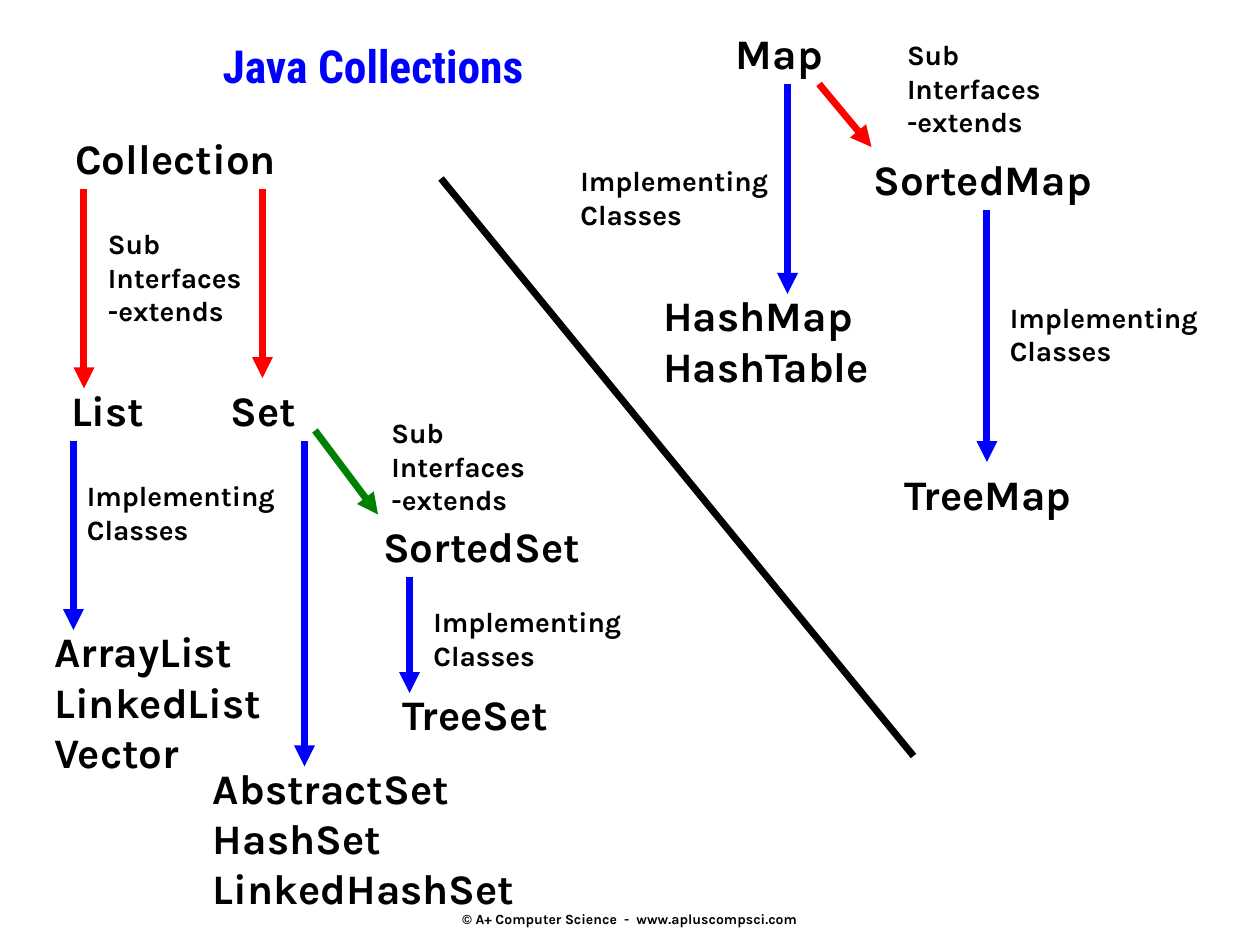
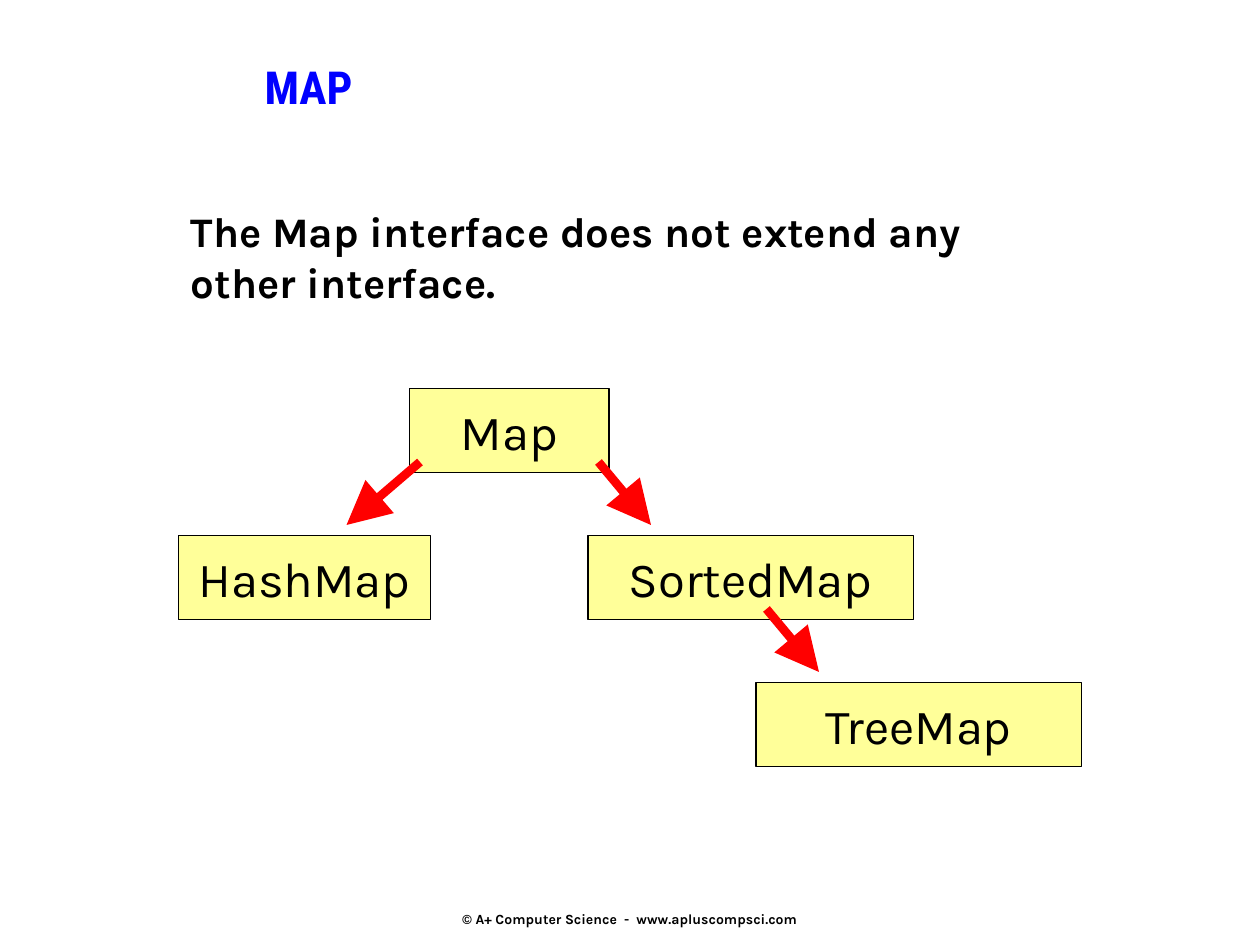
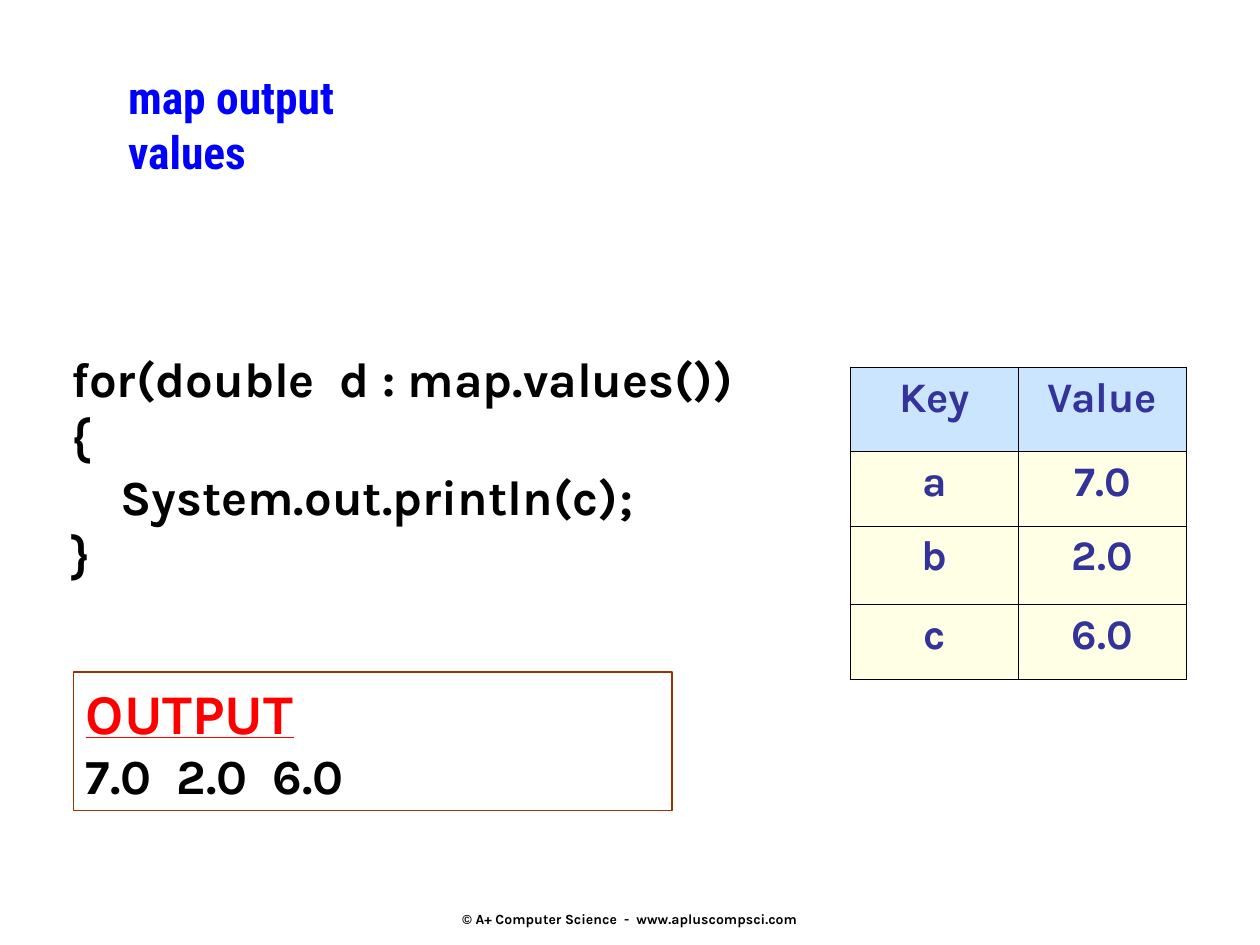
from dataclasses import dataclass

from lxml.etree import SubElement
from pptx import Presentation
from pptx.dml.color import RGBColor
from pptx.enum.shapes import MSO_CONNECTOR as Connector, MSO_SHAPE as Shape
from pptx.enum.text import MSO_ANCHOR as Anchor, MSO_AUTO_SIZE as AutoSize, PP_ALIGN as Align
from pptx.oxml import parse_xml
from pptx.oxml.ns import nsdecls, qn
from pptx.util import Inches, Pt

COLOURS = {
    "black": "000000", "blue": "0000FF", "red": "FF0000", "green": "008000",
    "yellow": "FFFF99", "brown": "993300", "indigo": "333399",
    "sky": "99CCFF", "cream": "FFFFCC",
}
BODY_FONT, TITLE_FONT = "Karla", "Roboto Condensed"
COLUMNS, ROWS = 120, 90
SLIDE_WIDTH, SLIDE_HEIGHT = Inches(10), Inches(7.5)
FOOTER = "© A+ Computer Science  -  www.apluscompsci.com"
EXTENDS = "Sub\nInterfaces\n-extends"
IMPLEMENTS = "Implementing\nClasses"


@dataclass(frozen=True)
class Label:
    text: str
    column: float
    row: float
    width: float
    size: int = 24
    wrap: bool = False


@dataclass(frozen=True)
class Arrow:
    start: tuple[float, float]
    end: tuple[float, float]
    colour: str = "red"
    weight: float = 4
    head: str | None = "med"


@dataclass(frozen=True)
class Node:
    text: str
    column: float
    row: float
    width: float


def across(columns: float) -> int:
    return round(SLIDE_WIDTH * columns / COLUMNS)


def down(rows: float) -> int:
    return round(SLIDE_HEIGHT * rows / ROWS)


def area(column: float, row: float, width: float, height: float) -> tuple[int, ...]:
    return across(column), down(row), across(width), down(height)


def rgb(name: str) -> RGBColor:
    return RGBColor.from_string(COLOURS[name])


def style(para, size: float, colour: str = "black", bold: bool = True,
          name: str = BODY_FONT, align=Align.LEFT) -> None:
    para.alignment = align
    font = para.font
    font.name, font.size, font.bold = name, Pt(size), bold
    font.color.rgb = rgb(colour)


def write(frame, text: str, size: float, wrap: bool = False,
          anchor=Anchor.TOP, **look) -> None:
    frame.text = text
    frame.word_wrap = wrap
    frame.auto_size = AutoSize.NONE
    frame.vertical_anchor = anchor
    for para in frame.paragraphs:
        style(para, size, **look)


def add_page(deck, title: str, place: tuple[float, ...]):
    page = deck.slides.add_slide(deck.slide_layouts[5])
    heading = page.shapes.title
    heading.left, heading.top, heading.width, heading.height = area(*place)
    write(heading.text_frame, title, 26, colour="blue", name=TITLE_FONT)
    footer = page.shapes.add_textbox(*area(41, 85.5, 38, 4))
    write(footer.text_frame, FOOTER, 8, anchor=Anchor.MIDDLE, align=Align.CENTER)
    return page


def add_label(page, label: Label) -> None:
    lines = label.text.count("\n") + 1
    height = 1.2 + lines * label.size / 5
    box = page.shapes.add_textbox(*area(label.column, label.row, label.width, height))
    write(box.text_frame, label.text, label.size, label.wrap)


def add_arrow(page, arrow: Arrow) -> None:
    (x1, y1), (x2, y2) = arrow.start, arrow.end
    line = page.shapes.add_connector(
        Connector.STRAIGHT, across(x1), down(y1), across(x2), down(y2))
    line.line.color.rgb = rgb(arrow.colour)
    line.line.width = Pt(arrow.weight)
    properties = line._element.spPr
    if arrow.head:
        SubElement(properties.find(qn("a:ln")), qn("a:tailEnd"),
                   type="triangle", w=arrow.head, len=arrow.head)
    SubElement(properties, qn("a:effectLst"))


def add_rectangle(page, place: tuple[float, ...], line: str, weight: float,
                  fill: str | None = None):
    box = page.shapes.add_shape(Shape.RECTANGLE, *area(*place))
    box.shadow.inherit = False
    if fill:
        box.fill.solid()
        box.fill.fore_color.rgb = rgb(fill)
    else:
        box.fill.background()
    box.line.color.rgb = rgb(line)
    box.line.width = Pt(weight)
    return box


def add_node(page, node: Node) -> None:
    box = add_rectangle(page, (node.column, node.row, node.width, 8),
                        "black", 0.75, "yellow")
    write(box.text_frame, node.text, 28, anchor=Anchor.MIDDLE,
          bold=False, align=Align.CENTER)


def paint_cell(cell, fill: str, borders: dict[str, float]) -> None:
    cell.fill.solid()
    cell.fill.fore_color.rgb = rgb(fill)
    properties = cell._tc.get_or_add_tcPr()
    SubElement(properties.find(".//" + qn("a:srgbClr")), qn("a:alpha"), val="50000")
    for index, (side, weight) in enumerate(borders.items()):
        properties.insert(index, parse_xml(
            f'<a:ln{side} {nsdecls("a")} w="{Pt(weight)}"><a:solidFill>'
            f'<a:srgbClr val="{COLOURS["black"]}"/></a:solidFill></a:ln{side}>'))


def add_map_table(page, rows: list[tuple[str, str]], heights: list[float]) -> None:
    frame = page.shapes.add_table(len(rows), 2, *area(81, 35, 32, sum(heights)))
    table = frame.table
    table.first_row = table.horz_banding = False
    outer, inner = 1.08, 0.45
    for column in table.columns:
        column.width = across(16)
    for r, (texts, height) in enumerate(zip(rows, heights)):
        table.rows[r].height = down(height)
        for c, text in enumerate(texts):
            cell = table.cell(r, c)
            cell.text = text
            style(cell.text_frame.paragraphs[0], 24, "indigo", align=Align.CENTER)
            paint_cell(cell, "cream" if r else "sky", {
                "L": inner if c else outer, "R": outer if c else inner,
                "T": inner if r else outer, "B": inner})


def build_overview(deck) -> None:
    page = add_page(deck, "Java Collections", (20, 3, 38, 9))
    types = [
        Label("Collection", 6, 12, 22.3),
        Label("Map", 68.9, 2, 11),
        Label("List", 5.6, 36, 9.2),
        Label("Set", 20.8, 36, 8.5),
        Label("ArrayList\nLinkedList\nVector", 4, 59, 23),
        Label("AbstractSet\nHashSet\nLinkedHashSet", 19.1, 72, 32.3),
        Label("TreeSet", 37.2, 65, 17.5),
        Label("SortedSet", 35.3, 49, 21.8),
        Label("TreeMap", 85, 44, 19.9),
        Label("SortedMap", 82, 14, 24.2),
        Label("HashMap\nHashTable", 62, 27, 23.3),
    ]
    extends = [Label(EXTENDS, column, row, 16, 16)
               for column, row in [(9.1, 21), (36.1, 39), (85.2, 3)]]
    implements = [Label(IMPLEMENTS, column, row, 22.1, 16)
                  for column, row in [(7.1, 45), (40.1, 57), (95, 28), (54.1, 15)]]
    for label in types + extends + implements:
        add_label(page, label)
    for arrow in [
        Arrow((8, 18), (8, 37)),
        Arrow((25, 18), (25, 36)),
        Arrow((30, 41), (36, 49), "green"),
        Arrow((29, 42), (29, 73), "blue"),
        Arrow((39, 55), (39, 66), "blue"),
        Arrow((7, 42), (7, 60), "blue"),
        Arrow((78, 8), (83, 14)),
        Arrow((75, 8), (75, 28), "blue"),
        Arrow((94, 20), (94, 44), "blue"),
        Arrow((42, 17), (87, 72), "black", head=None),
    ]:
        add_arrow(page, arrow)


def build_map(deck) -> None:
    page = add_page(deck, "MAP", (24, 5, 69, 10))
    add_label(page, Label("The Map interface does not extend any\nother interface.",
                          17, 19, 83, wrap=True))
    for node in [Node("Map", 39, 37, 19), Node("HashMap", 17, 51, 24),
                 Node("SortedMap", 56, 51, 31), Node("TreeMap", 72, 65, 31)]:
        add_node(page, node)
    for start, end in [((40, 44), (33, 50)), ((57, 44), (62, 50)), ((73, 58), (78, 64))]:
        add_arrow(page, Arrow(start, end, weight=5, head="lg"))


def build_values(deck) -> None:
    page = add_page(deck, "map output\nvalues", (11, 6, 98, 14))
    code = "for(double  d : map.values())\n{\n    System.out.println(c);\n}"
    add_label(page, Label(code, 5.6, 32.6, 67.3, 28))
    add_map_table(page, [("Key", "Value"), ("a", "7.0"), ("b", "2.0"), ("c", "6.0")],
                  [8, 7.1, 7.5, 7.1])
    output = add_rectangle(page, (7, 64, 57, 13.2), "brown", 1)
    write(output.text_frame, "OUTPUT\n7.0  2.0  6.0", 28, wrap=True)
    heading = output.text_frame.paragraphs[0]
    style(heading, 32, "red")
    heading.font.underline = True


def main() -> None:
    deck = Presentation()
    deck.slide_width, deck.slide_height = SLIDE_WIDTH, SLIDE_HEIGHT
    for build in (build_overview, build_map, build_values):
        build(deck)
    deck.save("out.pptx")


if __name__ == "__main__":
    main()
